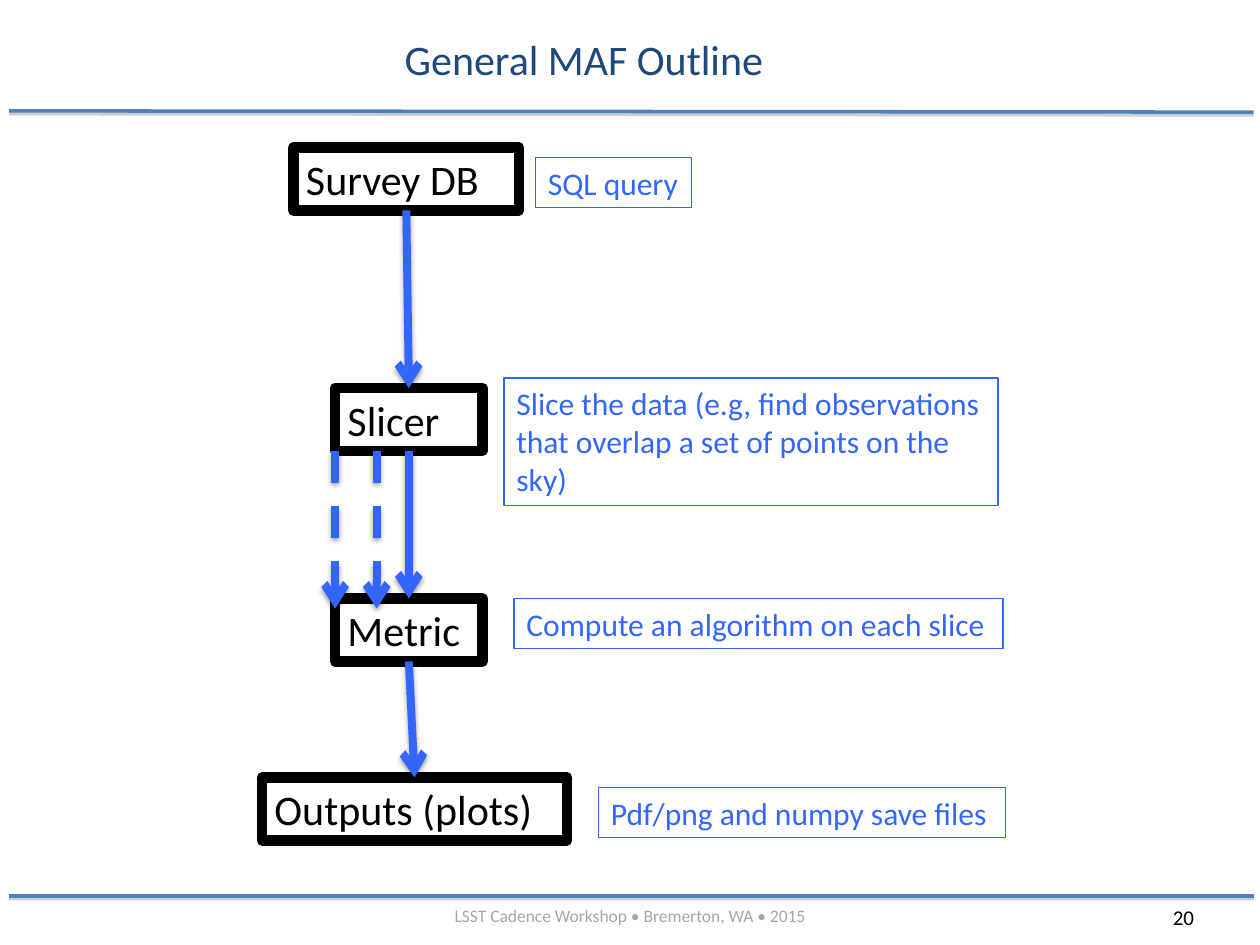
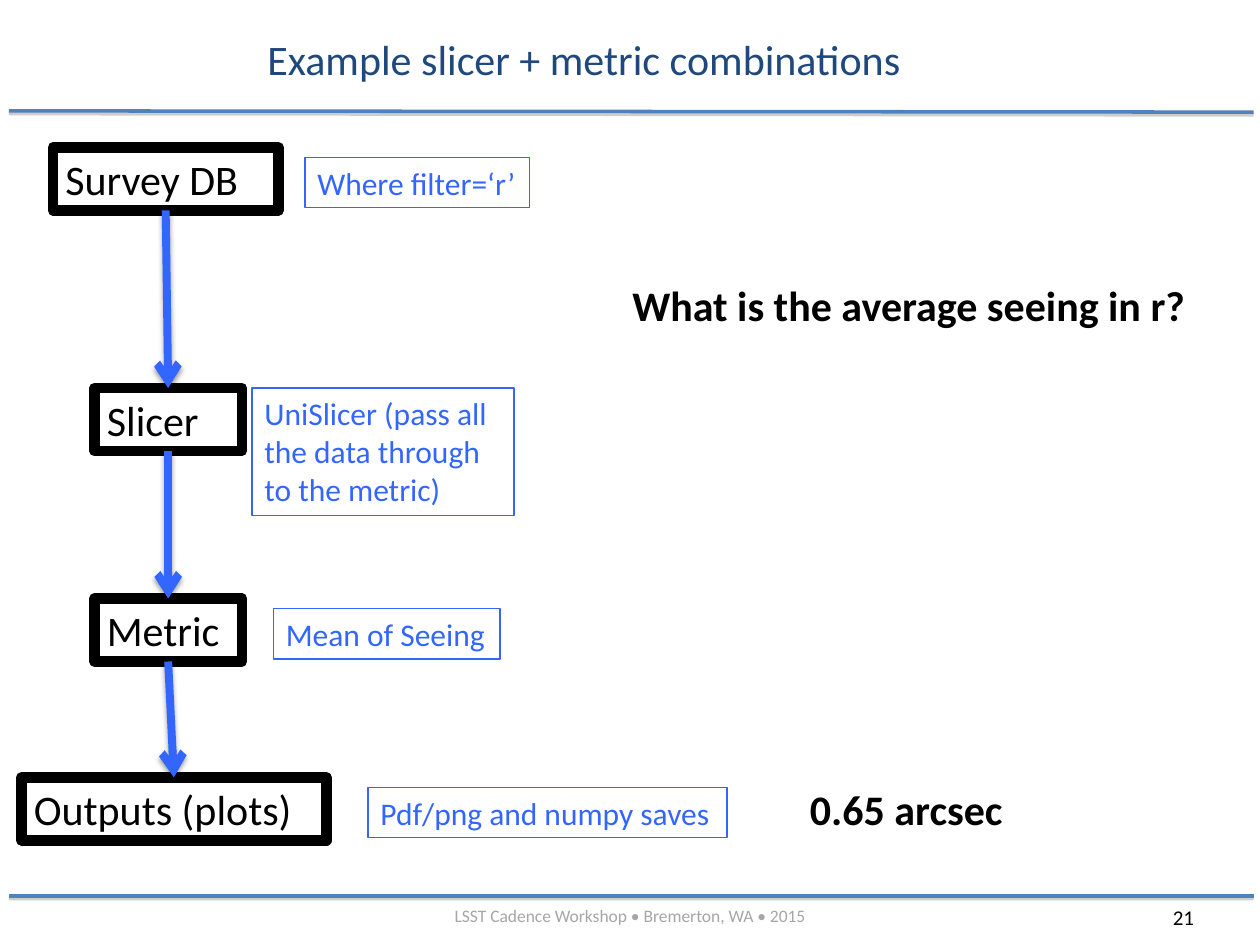
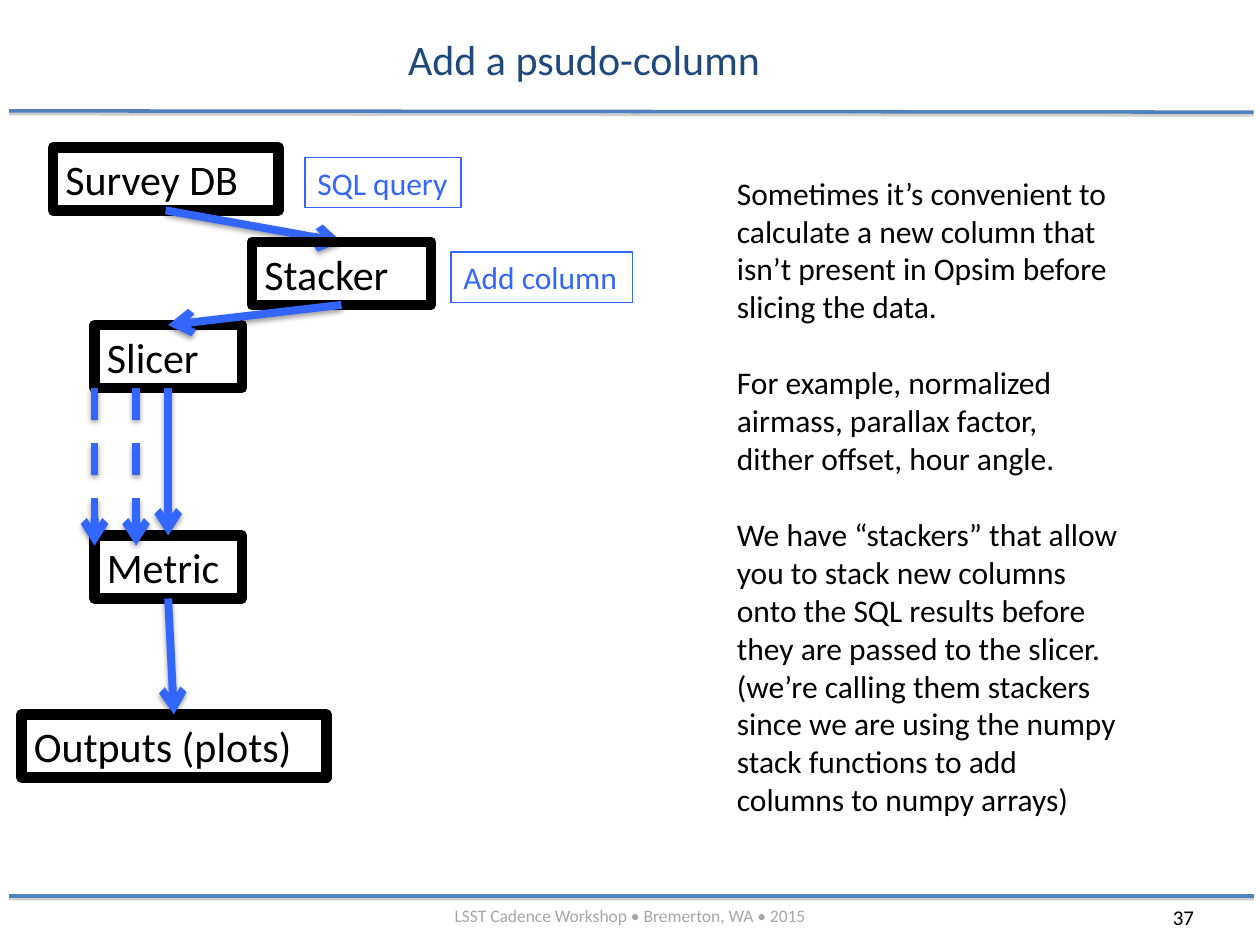
from dataclasses import dataclass

from lxml import etree
from pptx import Presentation
from pptx.dml.color import RGBColor
from pptx.enum.dml import MSO_LINE
from pptx.enum.shapes import MSO_CONNECTOR, MSO_SHAPE
from pptx.enum.text import MSO_ANCHOR, MSO_AUTO_SIZE, PP_ALIGN
from pptx.oxml.ns import qn
from pptx.shapes.autoshape import Shape
from pptx.shapes.connector import Connector
from pptx.slide import Slide
from pptx.util import Inches, Pt

BLACK = RGBColor(0x00, 0x00, 0x00)
GRAY = RGBColor(0xA6, 0xA6, 0xA6)
SHADOW_GRAY = RGBColor(0x80, 0x80, 0x80)
TITLE_BLUE = RGBColor(0x1F, 0x49, 0x7D)
RULE_BLUE = RGBColor(0x4F, 0x81, 0xBD)
FLOW_BLUE = RGBColor(0x33, 0x66, 0xFF)

FONT = "Calibri"
FOOTER = "LSST Cadence Workshop • Bremerton, WA • 2015"
TOP, BOTTOM = 0, 2
STAGE_HEIGHT = 0.5
DASH_GAP = 0.33
DASH_LENGTH = 1.25


@dataclass
class TextStyle:
    size: float
    color: RGBColor = BLACK
    bold: bool = False
    align: PP_ALIGN = PP_ALIGN.LEFT
    anchor: MSO_ANCHOR = MSO_ANCHOR.TOP
    gap: float = 0


@dataclass
class Stage:
    name: str
    indent: float
    drop: float
    width: float


@dataclass
class Note:
    text: str
    left: float
    top: float
    width: float
    height: float = 0.4
    wrap: bool = False


TITLE = TextStyle(24, TITLE_BLUE, align=PP_ALIGN.CENTER, anchor=MSO_ANCHOR.MIDDLE)
FOOTER_STYLE = TextStyle(10, GRAY, align=PP_ALIGN.CENTER)
NUMBER = TextStyle(12)
STAGE = TextStyle(24)
NOTE = TextStyle(18, FLOW_BLUE)
CALLOUT = TextStyle(24, bold=True)
BODY = TextStyle(18, gap=22)

SURVEY_TOP = 1.17
SURVEY = Stage("Survey DB", 0.25, 0, 1.79)
# Drops of these stages are measured from the top of the slicer.
SLICER = Stage("Slicer", 0.58, 0, 1.17)
METRIC = Stage("Metric", 0.58, 1.67, 1.17)
OUTPUTS = Stage("Outputs (plots)", 0, 3.09, 2.42)

STACKER_TEXT = [
    "Sometimes it’s convenient to calculate a new column that isn’t present in "
    "Opsim before slicing the data.",
    "For example, normalized airmass, parallax factor, dither offset, hour angle.",
    "We have “stackers” that allow you to stack new columns onto the SQL results "
    "before they are passed to the slicer. (we’re calling them stackers since we "
    "are using the numpy stack functions to add columns to numpy arrays)",
]


def write(sp: Shape, lines: list[str], style: TextStyle, wrap: bool = True) -> None:
    tf = sp.text_frame
    tf.word_wrap = wrap
    tf.auto_size = MSO_AUTO_SIZE.NONE
    tf.vertical_anchor = style.anchor
    tf.text = "\n".join(lines)
    for i, p in enumerate(tf.paragraphs):
        p.alignment = style.align
        if i and style.gap:
            p.space_before = Pt(style.gap)
        for r in p.runs:
            r.font.name = FONT
            r.font.size = Pt(style.size)
            r.font.bold = style.bold
            r.font.color.rgb = style.color


def add_text(slide: Slide, lines: list[str], style: TextStyle, left: float,
             top: float, width: float, height: float, wrap: bool = True) -> None:
    sp = slide.shapes.add_textbox(Inches(left), Inches(top), Inches(width), Inches(height))
    write(sp, lines, style, wrap)


def add_box(slide: Slide, text: str, style: TextStyle, line_width: float, left: float,
            top: float, width: float, height: float, wrap: bool = True) -> Shape:
    """Draw an unfilled box whose outline has the colour of its text."""
    sp = slide.shapes.add_shape(MSO_SHAPE.RECTANGLE, Inches(left), Inches(top),
                                Inches(width), Inches(height))
    sp.shadow.inherit = False
    sp.fill.background()
    sp.line.color.rgb = style.color
    sp.line.width = Pt(line_width)
    write(sp, [text], style, wrap)
    return sp


def add_line(shapes, start: tuple[float, float], end: tuple[float, float],
             color: RGBColor, width: float, shadow: RGBColor, blur: float) -> Connector:
    """Draw a line with a soft shadow just below it."""
    line = shapes.add_connector(MSO_CONNECTOR.STRAIGHT, *map(Inches, start + end))
    line.line.color.rgb = color
    line.line.width = Pt(width)
    effects = etree.SubElement(line._element.spPr, qn("a:effectLst"))
    outer = etree.SubElement(effects, qn("a:outerShdw"), blurRad=str(Pt(blur)),
                             dist=str(Pt(1.6)), dir="5400000", rotWithShape="0")
    rgb = etree.SubElement(outer, qn("a:srgbClr"), val=str(shadow))
    etree.SubElement(rgb, qn("a:alpha"), val="38000")
    return line


def add_arrow(shapes, start: tuple[float, float] = (0, 0), end: tuple[float, float] = (0, 0),
              dashed: bool = False) -> Connector:
    arrow = add_line(shapes, start, end, FLOW_BLUE, 4.5, BLACK, 3.1)
    if dashed:
        arrow.line.dash_style = MSO_LINE.DASH
    ln = arrow._element.spPr.find(qn("a:ln"))
    etree.SubElement(ln, qn("a:tailEnd"), type="arrow")
    return arrow


def link(slide: Slide, source: Shape, target: Shape, behind: bool = False) -> None:
    """Join two stages, optionally with the arrowhead behind the target."""
    arrow = add_arrow(slide.shapes)
    arrow.begin_connect(source, BOTTOM)
    arrow.end_connect(target, TOP)
    if behind:
        target._element.addprevious(arrow._element)


def add_stage(slide: Slide, stage: Stage, left: float, top: float) -> Shape:
    return add_box(slide, stage.name, STAGE, 6, left + stage.indent, top + stage.drop,
                   stage.width, STAGE_HEIGHT)


def add_flow(slide: Slide, left: float, slicer_top: float,
             parallel: bool = False) -> tuple[Shape, Shape]:
    """Draw the pipeline; return the survey and slicer boxes, still unlinked."""
    survey = add_stage(slide, SURVEY, left, SURVEY_TOP)
    slicer, metric, outputs = (add_stage(slide, stage, left, slicer_top)
                               for stage in (SLICER, METRIC, OUTPUTS))
    link(slide, slicer, metric)
    link(slide, metric, outputs)
    if parallel:
        group = slide.shapes.add_group_shape()
        y = slicer_top + STAGE_HEIGHT
        for i in range(2):
            x = left + SLICER.indent + i * DASH_GAP
            add_arrow(group.shapes, (x, y), (x, y + DASH_LENGTH), dashed=True)
    return survey, slicer


def add_notes(slide: Slide, notes: list[Note]) -> None:
    for n in notes:
        add_box(slide, n.text, NOTE, 0.75, n.left, n.top, n.width, n.height, n.wrap)


def new_slide(prs, title: str, number: int) -> Slide:
    slide = prs.slides.add_slide(prs.slide_layouts[6])
    for right_y, left_y in ((0.89, 0.88), (7.11, 7.11)):
        add_line(slide.shapes, (9.95, right_y), (0.07, left_y), RULE_BLUE, 2, SHADOW_GRAY, 0)
    add_text(slide, [str(number)], NUMBER, 9.21, 7.13, 0.62, 0.3)
    add_text(slide, [FOOTER], FOOTER_STYLE, 0.5, 7.13, 9, 0.27)
    add_text(slide, [title], TITLE, 1.25, 0.16, 6.77, 0.61)
    return slide


def build_outline(prs) -> None:
    slide = new_slide(prs, "General MAF Outline", 20)
    link(slide, *add_flow(slide, 2.08, 3.08, parallel=True))
    add_notes(slide, [
        Note("SQL query", 4.25, 1.25, 1.24),
        Note("Slice the data (e.g, find observations that overlap a set of points on the sky)",
             4, 3, 3.92, 1.01, wrap=True),
        Note("Compute an algorithm on each slice", 4.08, 4.75, 3.88),
        Note("Pdf/png and numpy save files", 4.75, 6.25, 3.23),
    ])


def build_example(prs) -> None:
    slide = new_slide(prs, "Example slicer + metric combinations", 21)
    link(slide, *add_flow(slide, 0.17, 3.08))
    add_notes(slide, [
        Note("Where filter=‘r’", 2.42, 1.25, 1.78),
        Note("UniSlicer (pass all the data through to the metric)",
             2, 3.08, 2.08, 1.01, wrap=True),
        Note("Mean of Seeing", 2.17, 4.83, 1.8),
        Note("Pdf/png and numpy saves", 2.92, 6.25, 2.85),
    ])
    add_text(slide, ["0.65 arcsec"], CALLOUT, 6.33, 6.17, 1.92, 0.5)
    add_text(slide, ["What is the average seeing in r?"], CALLOUT,
             4.92, 2.17, 4.66, 0.5, wrap=False)


def build_stacker(prs) -> None:
    slide = new_slide(prs, "Add a psudo-column", 37)
    survey, slicer = add_flow(slide, 0.17, 2.58, parallel=True)
    stacker = add_box(slide, "Stacker", STAGE, 6, 2, 1.92, 1.42, STAGE_HEIGHT)
    link(slide, survey, stacker, behind=True)
    link(slide, stacker, slicer)
    add_notes(slide, [
        Note("SQL query", 2.42, 1.25, 1.24),
        Note("Add column", 3.58, 2, 1.44),
    ])
    add_text(slide, STACKER_TEXT, BODY, 5.75, 1.33, 3.25, 5.55)


def main() -> None:
    prs = Presentation()
    prs.slide_width, prs.slide_height = Inches(10), Inches(7.5)
    build_outline(prs)
    build_example(prs)
    build_stacker(prs)
    prs.save("out.pptx")


if __name__ == "__main__":
    main()
